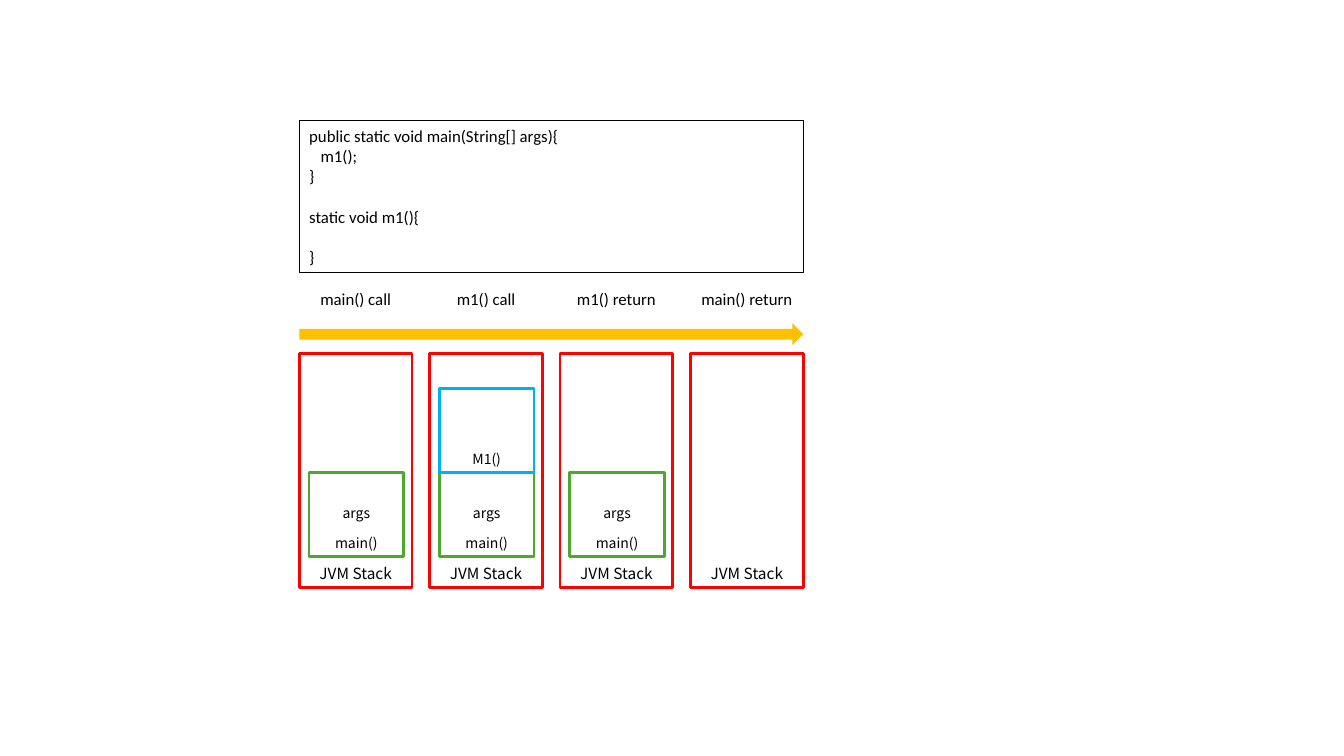
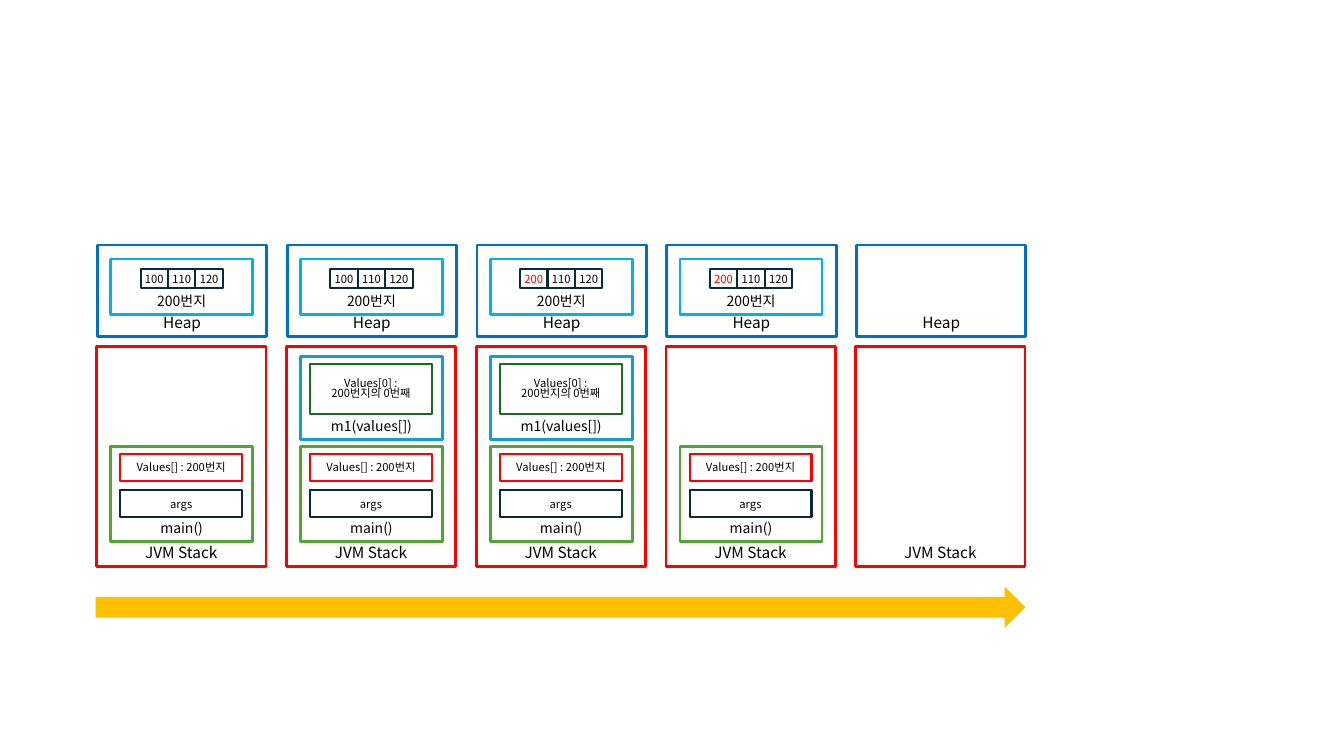
from pptx import Presentation
from pptx.dml.color import RGBColor
from pptx.enum.shapes import MSO_SHAPE as Preset
from pptx.enum.text import MSO_ANCHOR as Anchor, PP_ALIGN as Align
from pptx.oxml.ns import qn
from pptx.util import Pt
from lxml import etree

# Shared style
LATIN, KOREAN = "Calibri", "Noto Sans CJK KR"
BLACK, WHITE, RED, GREEN = "000000", "FFFFFF", "FF0000", "4EA72E"
SKY, BLUE, AMBER, NAVY = "00B0F0", "0070C0", "FFC000", "092A39"
CYAN, FOREST = "0F9ED5", "196B24"
OPACITY = 38
CODE_LINE = 14.65  # height of one 12 pt line

# Content of slide 1
CODE = [
    "public static void main(String[] args){",
    "   m1();",
    "}",
    "",
    "static void m1(){",
    "",
    "}",
]
CALL_STEPS = [  # label, frames on the stack
    ("main() call", ["main"]),
    ("m1() call", ["main", "m1"]),
    ("m1() return", ["main"]),
    ("main() return", []),
]

# Content of slide 2
MEMORY_STEPS = [  # values on the heap, frames on the stack
    (["100", "110", "120"], ["main"]),
    (["100", "110", "120"], ["main", "m1"]),
    (["200", "110", "120"], ["main", "m1"]),
    (["200", "110", "120"], ["main"]),
    ([], []),
]
CHANGED_VALUE = "200"


def rgb(color):
    return RGBColor.from_string(color)


def write_text(shape, lines, size, font=KOREAN, color=BLACK, align=Align.CENTER,
               anchor=Anchor.MIDDLE, gap=0, spacing=None):
    """Write lines; gap is the space that an empty line stands for."""
    frame = shape.text_frame
    frame.word_wrap = True
    frame.vertical_anchor = anchor
    frame.text = "\n".join(line for line in lines if line)
    gaps = [gap if i and not lines[i - 1] else 0
            for i, line in enumerate(lines) if line]
    for paragraph, space in zip(frame.paragraphs, gaps):
        paragraph.alignment = align
        paragraph.space_before = Pt(space)
        if spacing:
            paragraph.line_spacing = spacing
        for run in paragraph.runs:
            run.font.size, run.font.name = Pt(size), font
            run.font.color.rgb = rgb(color)
            east_asian = etree.SubElement(run.font._element, qn("a:ea"))
            east_asian.set("typeface", font)


def add_preset(slide, preset, left, top, width, height):
    shape = slide.shapes.add_shape(preset, Pt(left), Pt(top), Pt(width), Pt(height))
    shape.shadow.inherit = False
    return shape


def add_box(slide, left, top, width, height, line, line_width, lines, size, **style):
    """Outlined rectangle without a fill."""
    box = add_preset(slide, Preset.RECTANGLE, left, top, width, height)
    box.fill.background()
    box.line.color.rgb = rgb(line)
    box.line.width = Pt(line_width)
    write_text(box, lines, size, **style)
    return box


def add_area(slide, left, top, width, height, line, lines, size, **style):
    """Memory area: translucent white box, named at its bottom."""
    area = add_box(slide, left, top, width, height, line, 2, lines, size,
                   anchor=Anchor.BOTTOM, **style)
    area.fill.solid()
    area.fill.fore_color.rgb = rgb(WHITE)
    fill_color = area._element.spPr.find(qn("a:solidFill"))[0]
    etree.SubElement(fill_color, qn("a:alpha")).set("val", str(OPACITY * 1000))


def add_time_arrow(slide, left, top, width, height):
    arrow = add_preset(slide, Preset.RIGHT_ARROW, left, top, width, height)
    arrow.fill.solid()
    arrow.fill.fore_color.rgb = rgb(AMBER)
    arrow.line.fill.background()


def add_blank_slide(presentation):
    return presentation.slides.add_slide(presentation.slide_layouts[6])


def build_call_slide(slide):
    left, width, stack_width = 213.8, 360, 80.6
    pitch = (width - stack_width) / (len(CALL_STEPS) - 1)
    label_width, frame_width, frame_height = 100, 67.7, 60
    main_top = 337.5

    add_box(slide, left, 86, width, 108.7, BLACK, 0.75, CODE, 12, font=LATIN,
            align=Align.LEFT, anchor=Anchor.TOP, gap=CODE_LINE)
    add_time_arrow(slide, left, 231, width, 15.4)

    for i, (label, frames) in enumerate(CALL_STEPS):
        x = left + i * pitch
        label_left = x + (stack_width - label_width) / 2
        label_box = slide.shapes.add_textbox(Pt(label_left), Pt(202.4),
                                             Pt(label_width), Pt(21.8))
        write_text(label_box, [label], 12, font=LATIN, anchor=Anchor.TOP)
        add_area(slide, x, 252.4, stack_width, 167.2, RED, ["JVM Stack"], 11)
        frame_left = x + 6.9
        if "main" in frames:
            add_area(slide, frame_left, main_top, frame_width, frame_height, GREEN,
                     ["args", "", "main()"], 10, gap=9.8)
        if "m1" in frames:
            add_area(slide, frame_left, main_top - frame_height, frame_width,
                     frame_height, SKY, ["M1()"], 10)


def build_memory_slide(slide):
    left, pitch, area_width = 69, 135.55, 121
    frame_inset, frame_width = 10, 101.5
    variable_inset, variable_width, variable_height = 16.9, 87.1, 19.4
    cell_inset, cell_pitch = 31.4, 19.6

    for i, (values, frames) in enumerate(MEMORY_STEPS):
        x = left + i * pitch
        frame_left, variable_left = x + frame_inset, x + variable_inset

        # Heap with the array
        add_area(slide, x + 0.6, 175, area_width, 65.5, BLUE, ["Heap"], 11)
        if values:
            add_area(slide, frame_left, 185, frame_width, 39.6, SKY, ["200번지"], 10)
        for j, value in enumerate(values):
            cell = add_box(slide, x + cell_inset + j * cell_pitch, 192.2, cell_pitch,
                           13.7, NAVY, 1.5, [value], 8,
                           color=RED if value == CHANGED_VALUE else BLACK)
            frame = cell.text_frame
            frame.margin_left = frame.margin_right = Pt(0)
            frame.margin_top = frame.margin_bottom = Pt(0)

        # Stack with its frames
        add_area(slide, x, 247.7, area_width, 157, RED, ["JVM Stack"], 11)
        if "main" in frames:
            add_area(slide, frame_left, 319, frame_width, 67.7, GREEN, ["main()"], 10)
            for top, line, text in ((350, NAVY, "args"),
                                    (324, RED, "Values[] : 200번지")):
                add_box(slide, variable_left, top, variable_width, variable_height,
                        line, 1.5, [text], 8)
        if "m1" in frames:
            add_area(slide, frame_left, 254.9, frame_width, 59, CYAN,
                     ["m1(values[])"], 10)
            add_box(slide, variable_left, 260, variable_width, 36, FOREST, 1.5,
                    ["Values[0] :", "200번지의 0번째"], 8, spacing=0.8)

    add_time_arrow(slide, 68.4, 419, 664, 29.5)


def main():
    presentation = Presentation()
    presentation.slide_width, presentation.slide_height = Pt(960), Pt(540)
    build_call_slide(add_blank_slide(presentation))
    build_memory_slide(add_blank_slide(presentation))
    presentation.save("out.pptx")


if __name__ == "__main__":
    main()
